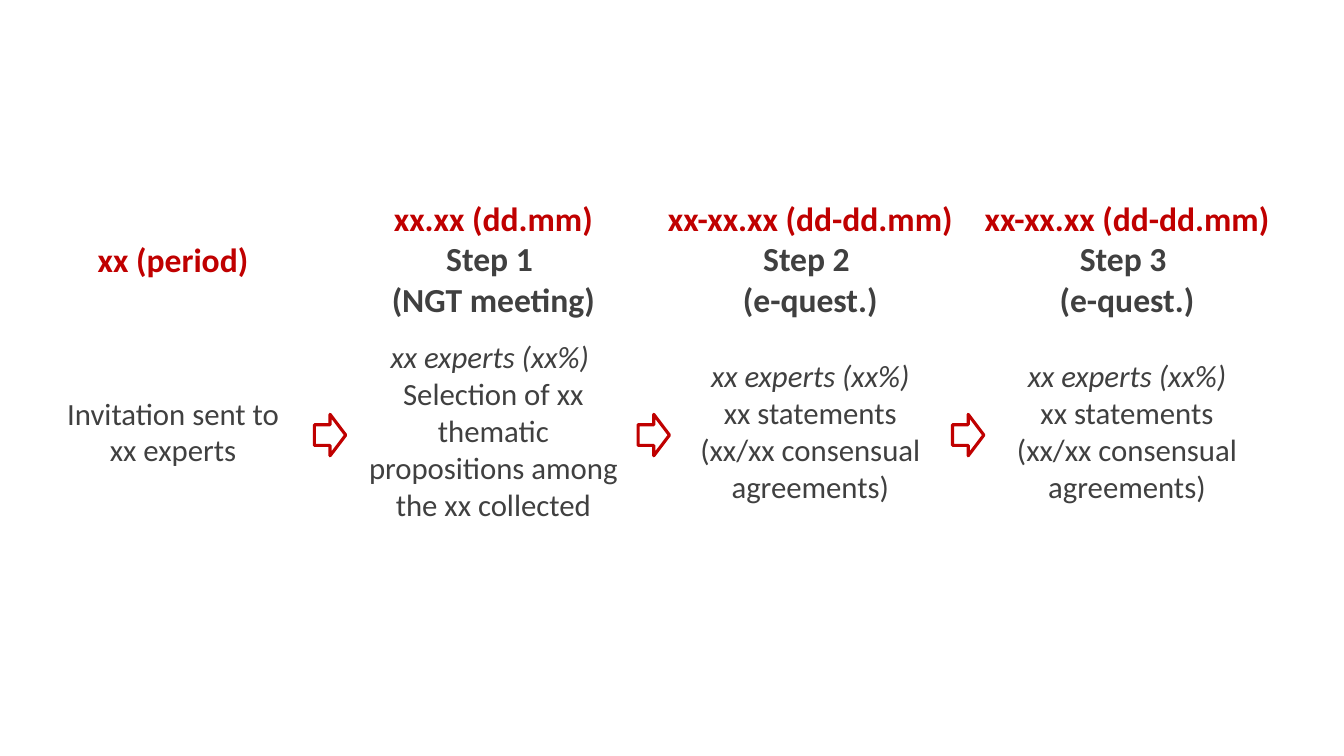
from pptx import Presentation
from pptx.dml.color import RGBColor
from pptx.enum.shapes import MSO_SHAPE as SHAPE
from pptx.enum.text import MSO_ANCHOR as ANCHOR, MSO_AUTO_SIZE as AUTO, PP_ALIGN as ALIGN
from pptx.util import Pt

RED, GREY = "C00000", "404040"
HEADING_Y, BODY_Y, ARROW_Y = 185.2, 308.4, 310.8
LINE_HEIGHT = 1.215
PADDING = 7.2


def rgb(value):
    return RGBColor.from_string(value)


class Flow:
    font = "Calibri"

    def __init__(self, prs):
        self.s = prs.slides.add_slide(prs.slide_layouts[6])

    def text(self, cx, cy, width, size, paragraphs, lines):
        """Centre a box on (cx, cy), tall enough for the given number of lines."""
        height = lines * size * LINE_HEIGHT + PADDING
        sp = self.s.shapes.add_textbox(Pt(cx - width / 2), Pt(cy - height / 2),
                                       Pt(width), Pt(height))
        tf = sp.text_frame
        tf.word_wrap = True
        tf.auto_size = AUTO.SHAPE_TO_FIT_TEXT
        tf.vertical_anchor = ANCHOR.TOP
        for i, (text, color, bold, italic) in enumerate(paragraphs):
            p = tf.paragraphs[0] if i == 0 else tf.add_paragraph()
            p.text = text
            p.alignment = ALIGN.CENTER
            p.font.name, p.font.size = self.font, Pt(size)
            p.font.bold, p.font.italic = bold, italic
            p.font.color.rgb = rgb(color)

    def heading(self, cx, width, period, *title):
        paragraphs = [(period, RED, True, False)]
        paragraphs += [(t, GREY, True, False) for t in title]
        self.text(cx, HEADING_Y, width, 24, paragraphs, len(paragraphs))

    def body(self, cx, width, experts, details, lines):
        paragraphs = [(experts, GREY, False, True)] if experts else []
        paragraphs += [(t, GREY, False, False) for t in details]
        self.text(cx, BODY_Y, width, 22, paragraphs, lines)

    def arrow(self, cx, width=22.4, height=29.6):
        sp = self.s.shapes.add_shape(SHAPE.RIGHT_ARROW, Pt(cx - width / 2),
                                     Pt(ARROW_Y - height / 2), Pt(width), Pt(height))
        sp.shadow.inherit = False
        sp.fill.background()
        sp.line.color.rgb = rgb(RED)
        sp.line.width = Pt(2.25)


SURVEY = ["xx statements", "(xx/xx consensual agreements)"]
# centre, heading width, heading, body width, experts, details, body lines
STAGES = [
    (123.6, 146, ["xx (period)"],
     181, "", ["Invitation sent to xx experts"], 2),
    (352.4, 232, ["xx.xx (dd.mm)", "Step 1 ", "(NGT meeting)"],
     197, "xx experts (xx%) ",
     ["Selection of xx thematic propositions among the xx collected"], 5),
    (578.8, 232, ["xx-xx.xx (dd-dd.mm)", "Step 2 ", "(e-quest.)"],
     177, "xx experts (xx%)", SURVEY, 4),
    (805, 222, ["xx-xx.xx (dd-dd.mm)", "Step 3 ", "(e-quest.)"],
     177, "xx experts (xx%)", SURVEY, 4),
]
ARROWS = [235.8, 467, 691.6]


def main():
    prs = Presentation()
    prs.slide_width, prs.slide_height = Pt(960), Pt(540)
    flow = Flow(prs)
    for cx, heading_width, heading, body_width, experts, details, lines in STAGES:
        flow.heading(cx, heading_width, *heading)
        flow.body(cx, body_width, experts, details, lines)
    for cx in ARROWS:
        flow.arrow(cx)
    prs.save("out.pptx")


if __name__ == "__main__":
    main()
